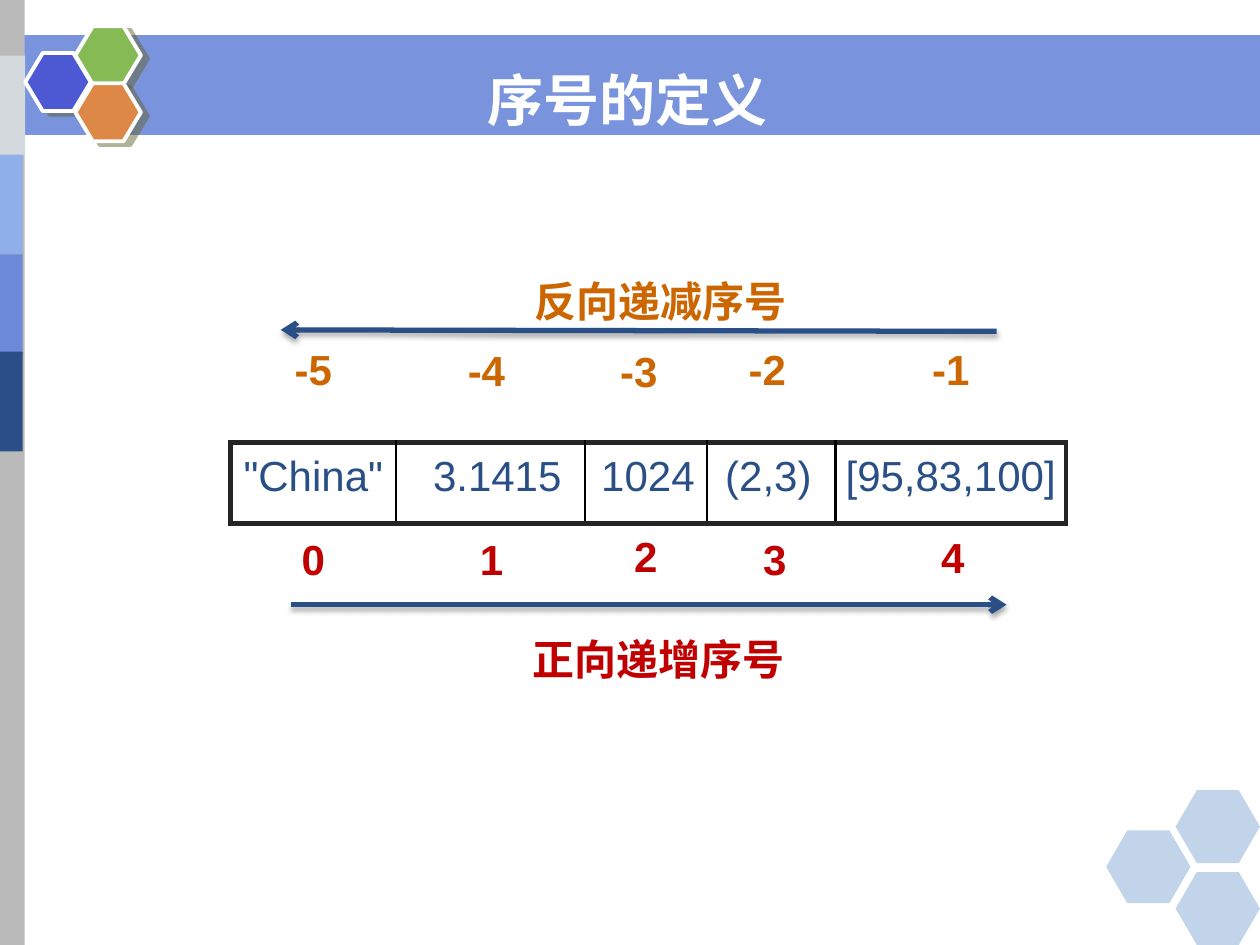
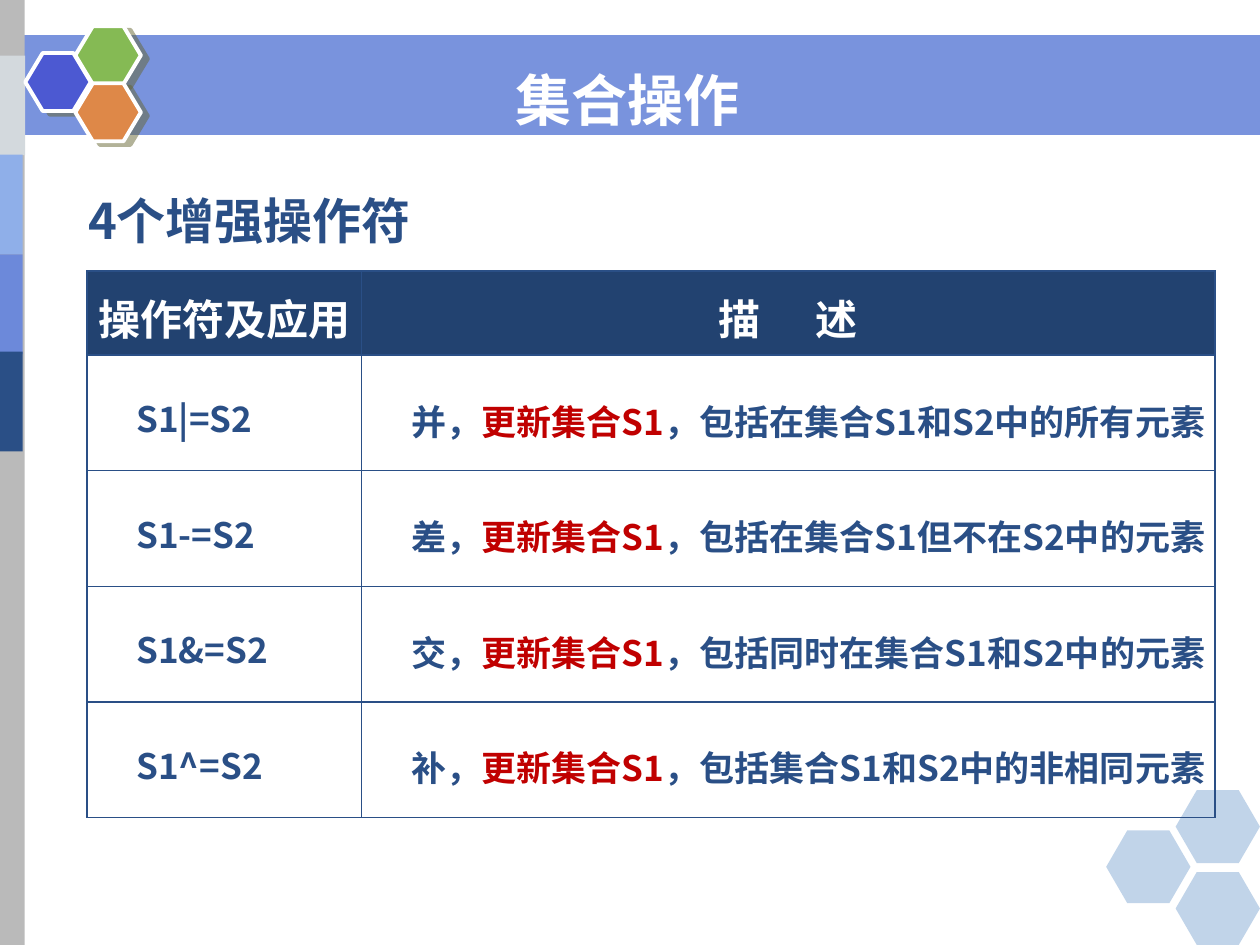
from lxml import etree
from pptx import Presentation
from pptx.dml.color import RGBColor
from pptx.enum import shapes, text
from pptx.oxml.ns import qn
from pptx.util import Cm, Pt


class Theme:
    navy, head, sky, mid = "2A4F86", "224270", "8FAFE9", "6C89DA"
    grey, mist, pale, white = "BABABA", "D3D9DD", "5086C2", "FFFFFF"
    blue, green, orange = "4C59D2", "85BA54", "DE8848"
    red, amber, ink, black = "C00000", "CC6600", "252525", "000000"
    shade = "666633"
    sans, cjk, latin = "DejaVu Sans", "Noto Sans CJK SC", "Arial"
    title, lead, label, body = 32, 28, 24, 20
    plain = "{2D5ABB26-0587-4C30-8999-92F81FD0307C}"  # no style, no grid


def node(parent, tag, **attrs):
    """Append an XML child and return it."""
    return etree.SubElement(parent, qn(tag), {k: str(v) for k, v in attrs.items()})


def style(par, size, color, face=Theme.cjk, bold=True):
    font = par.font
    font.size, font.name, font.bold = Pt(size), face, bold
    font.color.rgb = RGBColor.from_string(color)


prs = Presentation()
prs.slide_width, prs.slide_height = Cm(25.4), Cm(19.05)
center = text.PP_ALIGN.CENTER
index = prs.slides.add_slide(prs.slide_layouts[5])
sets = prs.slides.add_slide(prs.slide_layouts[1])

# Shared decoration: drawn once, then moved to the master.
# Each: kind, left, top, width, height, colour, opacity in percent
rect, hexa = shapes.MSO_SHAPE.RECTANGLE, shapes.MSO_SHAPE.HEXAGON
decor = [(rect, 0, 0.71, 25.4, 2.01, Theme.mid, 91),
         (rect, -0.03, 0, 0.53, 19.05, Theme.grey, 100),
         (rect, 0, 1.12, 0.51, 2.01, Theme.mist, 100)]
for top, color in [(3.12, Theme.sky), (5.13, Theme.mid), (7.09, Theme.navy)]:
    decor.append((rect, -0.05, top, 0.51, 2.01, color, 100))
for left, top, color in [(0.51, 1.07, Theme.blue), (1.52, 0.53, Theme.green),
                         (1.52, 1.68, Theme.orange)]:
    decor.append((hexa, left, top, 1.32, 1.17, color, 100))
for left, top in [(22.3, 16.74), (23.7, 15.93), (23.7, 17.58)]:
    decor.append((hexa, left, top, 1.7, 1.47, Theme.pale, 35))

tree = prs.slide_master.shapes.element
for i, (kind, left, top, wide, high, color, alpha) in enumerate(decor):
    shape = index.shapes.add_shape(kind, Cm(left), Cm(top), Cm(wide), Cm(high))
    shape.shadow.inherit = False
    shape.fill.solid()
    shape.fill.fore_color.rgb = RGBColor.from_string(color)
    shape.line.fill.background()
    props = shape.element.spPr
    if alpha < 100:
        node(props.find(".//" + qn("a:srgbClr")), "a:alpha", val=alpha * 1000)
    if kind == hexa:
        shape.adjustments[0] = 0.29 if alpha < 100 else 0.3
        if alpha == 100:
            shape.line.color.rgb = RGBColor.from_string(Theme.white)
            shape.line.width = Pt(2.25)
            drop = node(props.find(qn("a:effectLst")), "a:outerShdw",
                        dist=Pt(4.5), dir=27 * 60000, rotWithShape=0)
            node(node(drop, "a:srgbClr", val=Theme.shade), "a:alpha", val=50000)
    shape.element.nvSpPr.cNvPr.set("id", str(100 + i))
    tree.insert(2 + i, shape.element)

for slide, name in [(index, "序号的定义"), (sets, "集合操作")]:
    title = slide.shapes.title
    title.left, title.top, title.width, title.height = Cm(-0.1), Cm(1.19), Cm(25.5), Cm(1.63)
    title.text_frame.vertical_anchor = text.MSO_ANCHOR.MIDDLE
    par = title.text_frame.paragraphs[0]
    par.text, par.alignment = name, center
    style(par, Theme.title, Theme.white, Theme.sans)

# Index slide
for name, left, top, wide, high, color in [
        ("正向递增序号", 10.49, 12.14, 6.73, 1.8, Theme.red),
        ("反向递减序号", 10.52, 4.93, 7.39, 1.63, Theme.amber)]:
    frame = index.shapes.add_textbox(Cm(left), Cm(top), Cm(wide), Cm(high)).text_frame
    frame.word_wrap = True
    frame.auto_size = text.MSO_AUTO_SIZE.SHAPE_TO_FIT_TEXT
    par = frame.paragraphs[0]
    par.text, par.line_spacing = name, 1.5
    style(par, Theme.label, color)

# Each cell: text, indent (None = centred), then line spacing or space before
down = [("-5", None, 26.4), ("-4", 1.45, 27.4), ("-3", 0.71, 27.6),
        ("-2", 0.84, 26.6), ("-1", None, 26.4)]
items = [('"China"', None, 6.8), ("3.1415", 0.75, 6.8), ("1024", 0.33, 6.2),
         ("(2,3)", 0.37, 6.2), ("[95,83,100]", None, 6.8)]
up = [("0", None, 7.7), ("1", None, 8.2), ("2", None, 6.5),
      ("3", None, 7.7), ("4", None, 7.1)]
tops = [[0] * 5, [0.23] * 5, [0.28, 0.28, 0.23, 0.28, 0.25]]
shifts = [0, 0.05, 0, 0.15, 0.08]
wides, highs = [3.33, 3.81, 2.46, 2.59, 4.65], [1.91, 1.63, 2.18]
table = index.shapes.add_table(3, 5, Cm(4.65), Cm(7.01), Cm(sum(wides)), Cm(sum(highs))).table
table._tbl.tblPr.find(qn("a:tableStyleId")).text = Theme.plain
for col, wide in zip(table.columns, wides):
    col.width = Cm(wide)
for r, (cells, color) in enumerate([(down, Theme.amber), (items, Theme.navy), (up, Theme.red)]):
    table.rows[r].height = Cm(highs[r])
    for c, (word, indent, space) in enumerate(cells):
        cell = table.cell(r, c)
        cell.margin_left = cell.margin_right = cell.margin_bottom = 0
        cell.margin_top = Cm(tops[r][c])
        par = cell.text_frame.paragraphs[0]
        par.text = word
        style(par, Theme.label, color, Theme.latin, r != 1)
        if r == 0:
            par.line_spacing = Pt(space)
        else:
            par.space_before = Pt(space)
        if indent is None:
            par.alignment = center
            indent = shifts[c] if r == 2 else 0
        par._p.get_or_add_pPr().set("marL", str(Cm(indent)))
        thick, thin = (3, Theme.ink), (1.5, Theme.black)
        edges = [{"B": thick},
                 {"L": thin if c else thick, "R": thin if c < 4 else thick,
                  "T": thick, "B": thick},
                 {"T": thick}][r]
        for side, (width, tint) in edges.items():
            edge = node(cell._tc.get_or_add_tcPr(), "a:ln" + side, w=Pt(width))
            node(node(edge, "a:solidFill"), "a:srgbClr", val=tint)
        cell.fill.background()

for x1, y1, x2, y2, end in [(5.87, 12.19, 20.29, 12.19, "a:tailEnd"),
                            (5.66, 6.65, 20.09, 6.68, "a:headEnd")]:
    arrow = index.shapes.add_connector(shapes.MSO_CONNECTOR.STRAIGHT,
                                       Cm(x1), Cm(y1), Cm(x2), Cm(y2))
    arrow.line.color.rgb = RGBColor.from_string(Theme.navy)
    arrow.line.width = Pt(3)
    props = arrow.element.spPr
    node(props.find(qn("a:ln")), end, type="arrow")
    drop = node(node(props, "a:effectLst"), "a:outerShdw", blurRad=Pt(3.1),
                dist=Pt(1.8), dir=90 * 60000, rotWithShape=0)
    node(node(drop, "a:srgbClr", val=Theme.black), "a:alpha", val=35000)

# Set operators slide
lead = sets.placeholders[1]
lead.left, lead.top, lead.width, lead.height = Cm(1.52), Cm(3.71), Cm(16.92), Cm(1.45)
par = lead.text_frame.paragraphs[0]
par.text, par.space_before = "4个增强操作符", Pt(5.6)
style(par, Theme.lead, Theme.navy)
props = par._p.get_or_add_pPr()
props.set("marL", "0")
props.set("indent", "0")
props.insert_element_before(etree.Element(qn("a:buNone")), "a:tabLst", "a:defRPr")

rows = [("操作符及应用", ["描 ", "述"]),
        ("S1|=S2", ["并，", "更新集合S1", "，包括在集合S1和S2中的所有元素"]),
        ("S1-=S2", ["差，", "更新集合S1", "，包括在集合S1但不在S2中的元素"]),
        ("S1&=S2", ["交，", "更新集合S1", "，包括同时在集合S1和S2中的元素"]),
        ("S1^=S2", ["补，", "更新集合S1", "，包括集合S1和S2中的非相同元素"])]
wides, highs = [5.54, 17.2], [1.7] + [1.85] * 4
table = sets.shapes.add_table(5, 2, Cm(1.75), Cm(5.46), Cm(sum(wides)), Cm(sum(highs))).table
table._tbl.tblPr.find(qn("a:tableStyleId")).text = Theme.plain
for col, wide in zip(table.columns, wides):
    col.width = Cm(wide)
for r, (sign, parts) in enumerate(rows):
    table.rows[r].height = Cm(highs[r])
    for c, words in enumerate([[sign], parts]):
        cell = table.cell(r, c)
        cell.margin_left = cell.margin_right = cell.margin_bottom = 0
        cell.margin_top = Cm(0.28 if r and c else 0.18)
        cell.vertical_anchor = text.MSO_ANCHOR.MIDDLE
        par = cell.text_frame.paragraphs[0]
        for word in words:
            par.add_run().text = word
        for side in "LRTB":
            edge = node(cell._tc.get_or_add_tcPr(), "a:ln" + side, w=Pt(1))
            node(node(edge, "a:solidFill"), "a:srgbClr", val=Theme.navy)
        if r == 0:
            style(par, Theme.label, Theme.white)
            par.alignment, par.space_before = center, Pt(4.8)
            cell.fill.solid()
            cell.fill.fore_color.rgb = RGBColor.from_string(Theme.head)
            if c:
                par.runs[0]._r.get_or_add_rPr().set("spc", "1300")
        else:
            style(par, Theme.body, Theme.navy)
            par.space_before = Pt(7.7)
            par._p.get_or_add_pPr().set("marL", str(Cm(1)))
            cell.fill.background()
            if c:
                par.runs[1].font.color.rgb = RGBColor.from_string(Theme.red)

# East Asian text takes the same face as Latin text.
for slide in prs.slides:
    for face in list(slide.element.iter(qn("a:latin"))):
        face.addnext(etree.Element(qn("a:ea"), typeface=face.get("typeface")))

prs.save("out.pptx")
